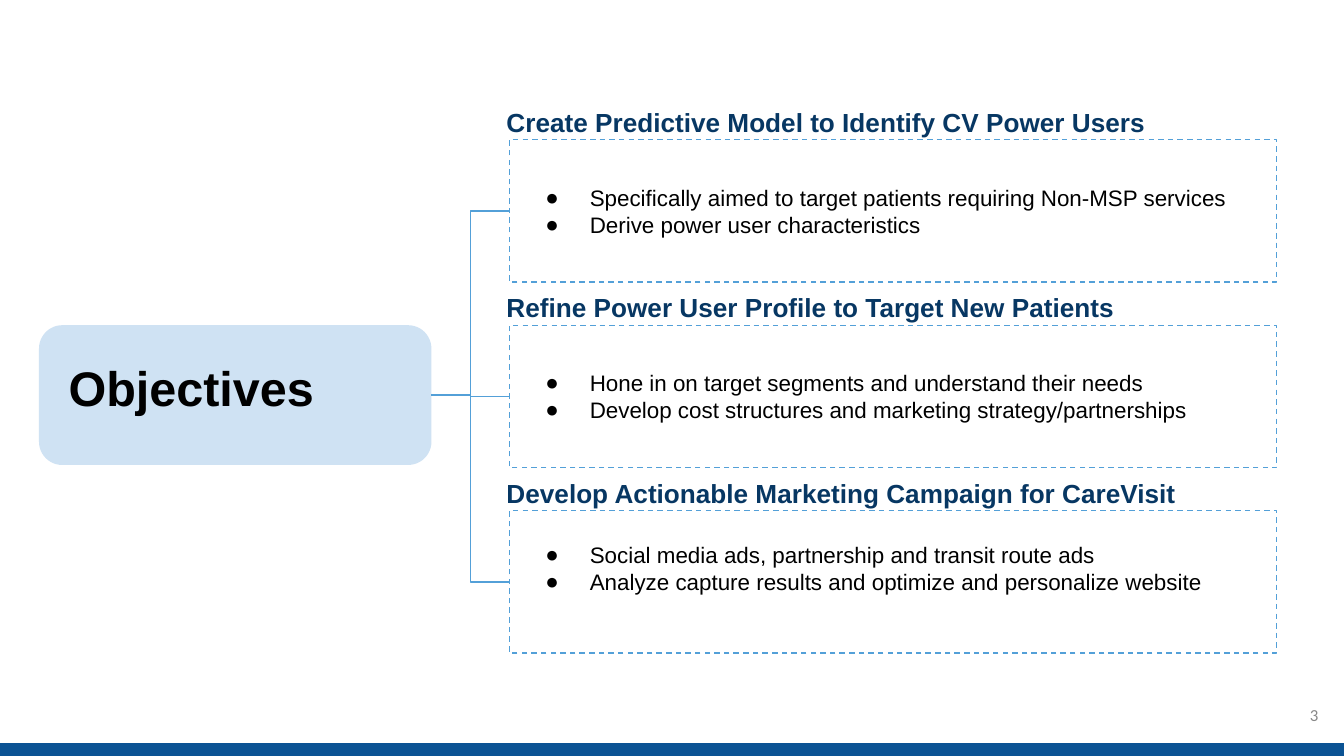
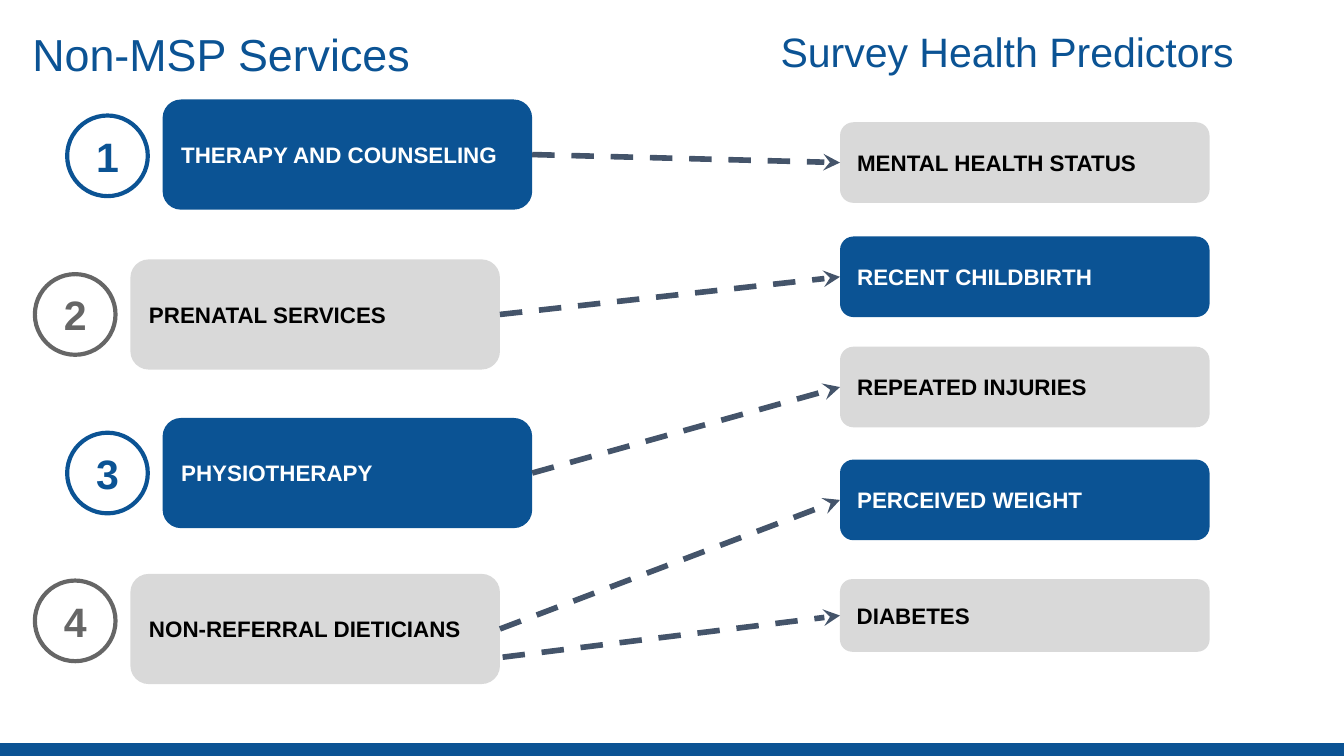
"""Build two slides: project objectives, and services matched to health predictors."""
from lxml.etree import SubElement as Sub
from pptx import Presentation
from pptx.dml.color import RGBColor as RGB
from pptx.enum.dml import MSO_LINE as Dash
from pptx.enum.shapes import MSO_CONNECTOR as Link, MSO_SHAPE as Kind
from pptx.enum.text import MSO_ANCHOR as Anchor, PP_ALIGN as Align
from pptx.oxml.ns import qn
from pptx.util import Inches, Pt

HUES = {
    "blue": "0B5394", "pale": "CFE2F3", "sky": "53A0D8", "navy": "073763",
    "slate": "44546A", "gray": "666666", "light": "D9D9D9", "mute": "888888",
    "black": "000000", "white": "FFFFFF",
}
HUE = {name: RGB.from_string(code) for name, code in HUES.items()}


def draw(shapes, kind, at, fill=None, line=None, width=0.75):
    shape = shapes.add_shape(kind, *map(Inches, at))
    shape.shadow.inherit = False
    if fill:
        shape.fill.solid()
        shape.fill.fore_color.rgb = HUE[fill]
    else:
        shape.fill.background()
    if line:
        shape.line.color.rgb = HUE[line]
        shape.line.width = Pt(width)
    else:
        shape.line.fill.background()
    return shape


def write(shape, text, size, hue, bold=False, align=Align.LEFT, anchor=Anchor.MIDDLE,
          pad=(0.1, 0.1), font="Arial", space=None):
    frame = shape.text_frame
    frame.text = text
    frame.word_wrap = True
    frame.vertical_anchor = anchor
    frame.margin_left = frame.margin_right = Inches(pad[0])
    frame.margin_top = frame.margin_bottom = Inches(pad[1])
    for para in frame.paragraphs:
        para.alignment = align
        if space:
            para.line_spacing = space
        for run in para.runs:
            run.font.size = Pt(size)
            run.font.name = font
            run.font.bold = bold
            run.font.color.rgb = HUE[hue]


prs = Presentation()
prs.slide_width, prs.slide_height = Inches(10), Inches(10 * 9 / 16)
goals, match = [prs.slides.add_slide(prs.slide_layouts[5]) for _ in range(2)]

band = draw(goals.shapes, Kind.RECTANGLE, (-0.01, 5.53, 10.01, 0.1), "blue")
prs.slide_master.shapes.element.append(band.element)

links = []
root = draw(goals.shapes, Kind.ROUNDED_RECTANGLE, (0.29, 2.42, 2.92, 1.04), "pale")

aims = [
    ("Create Predictive Model to Identify CV Power Users", 5.25,
     "Specifically aimed to target patients requiring Non-MSP services\n"
     "Derive power user characteristics"),
    ("Refine Power User Profile to Target New Patients", 4.81,
     "Hone in on target segments and understand their needs\n"
     "Develop cost structures and marketing strategy/partnerships"),
    ("Develop Actionable Marketing Campaign for CareVisit", 5.63,
     "Social media ads, partnership and transit route ads\n"
     "Analyze capture results and optimize and personalize website"),
]
for row, (head, wide, notes) in enumerate(aims):
    top = 1.04 + row * 1.38
    group = goals.shapes.add_group_shape().shapes
    box = draw(group, Kind.RECTANGLE, (3.79, top, 5.71, 1.06), line="sky")
    box.line.dash_style = Dash.DASH
    write(box, notes, 12, "black")
    for para in box.text_frame.paragraphs:
        props = para._p.get_or_add_pPr()
        props.set("marL", str(Inches(0.5)))
        props.set("indent", str(Inches(-0.33)))
        tint = Sub(props, qn("a:buClr"))
        Sub(tint, qn("a:srgbClr"), val=HUES["black"])
        Sub(props, qn("a:buSzPts"), val="1200")
        Sub(props, qn("a:buFont"), typeface="Arial")
        Sub(props, qn("a:buChar"), char="●")
    label = group.add_textbox(*map(Inches, (3.67, top - 0.35, wide, 0.36)))
    write(label, head, 14, "navy", bold=True, anchor=Anchor.TOP)
    links.append((goals, Link.ELBOW, root, box, "sky", 0.75))
box.text_frame.margin_bottom = Inches(0.3)

page = goals.shapes.add_textbox(*map(Inches, (9.38, 5.2, 0.5, 0.24)))
write(page, "3", 9, "mute", align=Align.RIGHT, pad=(0.07, 0.04), font="Calibri")

heads = [
    (goals, "Objectives", (0.44, 2.67), 26, "black", True),
    (match, "Non-MSP Services", (0.17, 0.2), 24, "blue", False),
]
for slide, text, spot, size, hue, bold in heads:
    title = slide.shapes.title
    title.left, title.top = map(Inches, spot)
    title.width, title.height = Inches(9.32), Inches(0.54)
    write(title, text, size, hue, bold, anchor=Anchor.TOP, pad=(0.07, 0.04), space=0.9)
    slide.shapes.element.append(title.element)

aside = match.shapes.add_textbox(*map(Inches, (5.71, 0.14, 3.96, 0.54)))
write(aside, "Survey Health Predictors", 22, "blue", anchor=Anchor.TOP, space=0.9)

cares = [
    ("THERAPY AND COUNSELING", 0.74, 0.86),
    ("PRENATAL SERVICES", 1.93, 2.04),
    ("PHYSIOTHERAPY", 3.11, 3.22),
    ("NON-REFERRAL DIETICIANS", 4.27, 4.32),
]
cards = []
for num, (text, top, ring) in enumerate(cares, 1):
    left, fill, ink, rim = ((0.5, "blue", "white", "blue") if num % 2
                            else (0.26, "light", "black", "gray"))
    disc = draw(match.shapes, Kind.OVAL, (left, ring, 0.6, 0.6), line=rim, width=2.25)
    write(disc, str(num), 22, rim, bold=True, align=Align.CENTER)
    card = draw(match.shapes, Kind.ROUNDED_RECTANGLE, (left + 0.71, top, 2.75, 0.82), fill)
    write(card, text, 12, ink, bold=True)
    cards.append(card)

signs = [
    ("MENTAL HEALTH STATUS", 0.91, 0.6),
    ("RECENT CHILDBIRTH", 1.76, 0.6),
    ("REPEATED INJURIES", 2.58, 0.6),
    ("PERCEIVED WEIGHT", 3.42, 0.6),
    ("DIABETES", 4.31, 0.54),
]
for row, ((text, top, high), card) in enumerate(zip(signs, cards + [None])):
    fill, ink = ("blue", "white") if row % 2 else ("light", "black")
    sign = draw(match.shapes, Kind.ROUNDED_RECTANGLE, (6.25, top, 2.75, high), fill)
    write(sign, text, 12, ink, bold=True)
    links.append((match, Link.STRAIGHT, card, sign, "slate", 3))

for slide, kind, start, end, hue, width in links:
    line = slide.shapes.add_connector(kind, *map(Inches, (3.74, 4.89, 6.25, 4.58)))
    if start:
        line.begin_connect(start, 3)
    line.end_connect(end, 1)
    line.line.color.rgb = HUE[hue]
    line.line.width = Pt(width)
    props = line.element.spPr
    if kind == Link.STRAIGHT:
        line.line.dash_style = Dash.DASH
        Sub(props.find(qn("a:ln")), qn("a:tailEnd"), type="stealth")
    Sub(props, qn("a:effectLst"))

prs.save("out.pptx")
